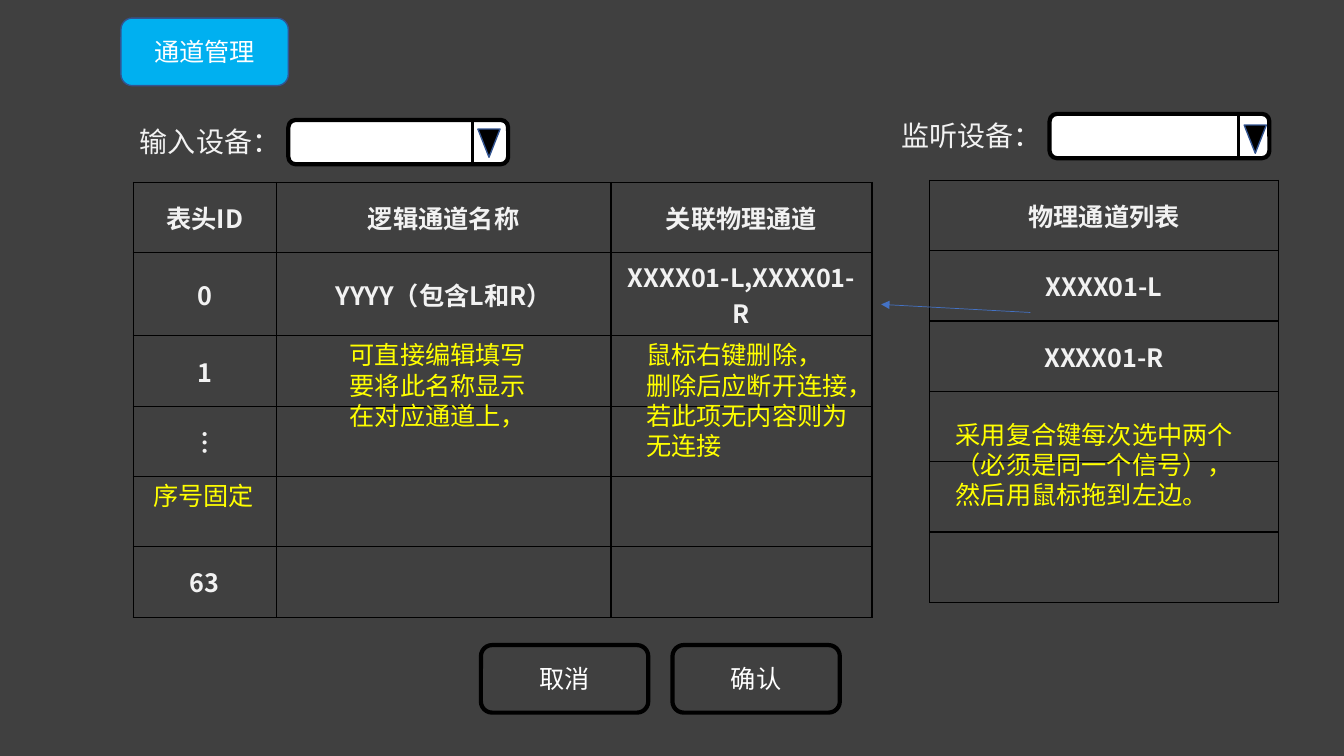
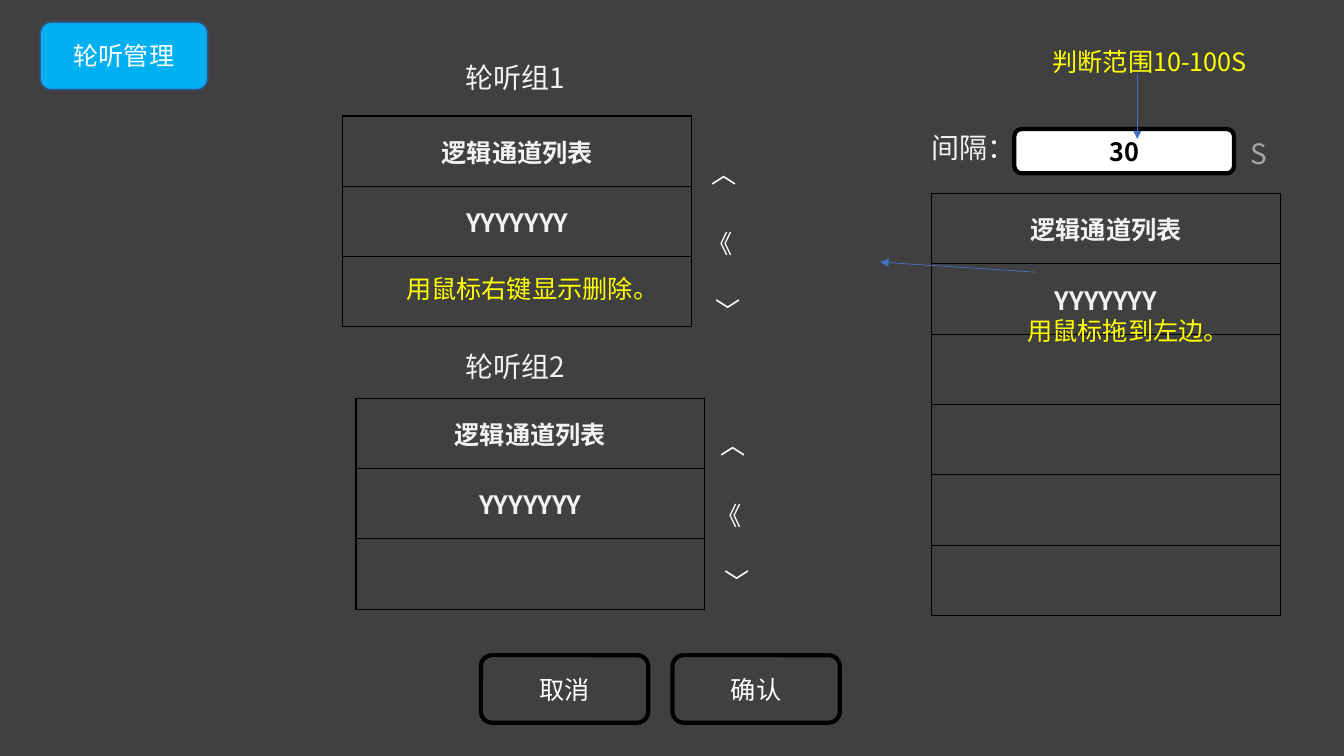
from lxml.etree import SubElement
from pptx import Presentation
from pptx.dml.color import RGBColor
from pptx.enum.shapes import MSO_CONNECTOR as Connector, MSO_SHAPE as Preset
from pptx.enum.text import MSO_ANCHOR as Anchor, MSO_AUTO_SIZE as AutoSize, PP_ALIGN as Align
from pptx.oxml.ns import qn
from pptx.util import Inches, Pt

FONT = "Noto Sans CJK SC"
BACKDROP, BLACK, WHITE = "404040", "000000", "FFFFFF"
PALE, GRAY, YELLOW = "F2F2F2", "A6A6A6", "FFFF00"
SKY, EDGE, ARROW = "00B0F0", "325491", "4472C4"
GRID = Inches(0.1)
ROW = 6.98
LIST_WIDTH = 34.6
BUTTON = (16.6, 6.7)
FIELD = (21.8, 4.4)
STEPS = (("︿", 0.4, 0), ("《", 0, 7), ("﹀", 0.8, 13.6))


def cells(*counts):
    return [round(count * GRID) for count in counts]


def paint(target, color):
    target.solid()
    target.fore_color.rgb = RGBColor.from_string(color)


def write(frame, text, color, size=18, bold=False, align=Align.LEFT):
    frame.text = text
    for paragraph in frame.paragraphs:
        paragraph.alignment = align
        for run in paragraph.runs:
            run.font.size = Pt(size)
            run.font.bold = bold
            run.font.name = FONT
            paint(run.font.fill, color)
            SubElement(run.font._element, qn("a:ea"), typeface=FONT)


def add_block(slide, preset, left, top, size, fill, edge, weight):
    block = slide.shapes.add_shape(preset, *cells(left, top, *size))
    block.shadow.inherit = False
    paint(block.fill, fill)
    paint(block.line.fill, edge)
    block.line.width = Pt(weight)
    return block


def add_rounded(slide, left, top, size, fill, edge=BLACK, weight=3,
                text="", color=WHITE, bold=False):
    block = add_block(slide, Preset.ROUNDED_RECTANGLE, left, top, size, fill, edge, weight)
    if text:
        block.text_frame.vertical_anchor = Anchor.MIDDLE
        write(block.text_frame, text, color, bold=bold, align=Align.CENTER)


def add_title(slide, left, top, text):
    add_rounded(slide, left, top, BUTTON, SKY, EDGE, 1, text)


def add_buttons(slide, top):
    for index, text in enumerate(("取消", "确认")):
        add_rounded(slide, 47.7 + 19 * index, top, BUTTON, BACKDROP, text=text)


def add_text(slide, left, top, width, height, text, color, size=18, wrap=True):
    box = slide.shapes.add_textbox(*cells(left, top, width, height))
    box.text_frame.word_wrap = wrap
    box.text_frame.auto_size = AutoSize.SHAPE_TO_FIT_TEXT
    write(box.text_frame, text, color, size)


def add_note(slide, left, top, text, width=29.9, height=4, wrap=True):
    add_text(slide, left, top, width, height, text, YELLOW, wrap=wrap)


def add_label(slide, left, top, text, width=18.4, color=PALE):
    add_text(slide, left, top, width, 4.4, text, color, 20)


def add_line(slide, start, end, color, weight, arrow=False):
    line = slide.shapes.add_connector(Connector.STRAIGHT, *cells(*start, *end))
    paint(line.line.fill, color)
    line.line.width = Pt(weight)
    properties = line._element.spPr
    if arrow:
        SubElement(properties.find(qn("a:ln")), qn("a:tailEnd"), type="triangle")
    SubElement(properties, qn("a:effectLst"))


def add_pointer(slide, start, end):
    add_line(slide, start, end, ARROW, 0.5, True)


def add_dropdown(slide, left, top, arrow_left, arrow_drop):
    add_rounded(slide, left, top, FIELD, WHITE)
    arrow = add_block(slide, Preset.ISOSCELES_TRIANGLE, arrow_left, top + arrow_drop,
                      (2.2, 2.8), BLACK, EDGE, 1)
    arrow.rotation = 180
    divider, divider_top = arrow_left - 0.55, top + arrow_drop - 0.9
    add_line(slide, (divider, divider_top), (divider, divider_top + 4.4), BLACK, 2)


def add_borders(cell):
    properties = cell._tc.get_or_add_tcPr()
    for index, side in enumerate(("a:lnL", "a:lnR", "a:lnT", "a:lnB")):
        border = SubElement(properties, qn(side), w=str(Pt(1)))
        fill = SubElement(border, qn("a:solidFill"))
        SubElement(fill, qn("a:srgbClr"), val=BLACK)
        properties.insert(index, border)


def add_grid(slide, left, top, widths, row_count, contents):
    frame = slide.shapes.add_table(row_count, len(widths),
                                   *cells(left, top, sum(widths), ROW * row_count))
    table = frame.table
    table.first_row = table.horz_banding = False
    for column, width in zip(table.columns, cells(*widths)):
        column.width = width
    for row in table.rows:
        row.height = cells(ROW)[0]
    for cell in table.iter_cells():
        cell.vertical_anchor = Anchor.MIDDLE
        paint(cell.fill, BACKDROP)
        add_borders(cell)
    for row, texts in enumerate(contents):
        for column, text in enumerate(texts):
            if text:
                write(table.cell(row, column).text_frame, text, PALE,
                      bold=True, align=Align.CENTER)


def add_list(slide, left, top, row_count, *texts):
    add_grid(slide, left, top, [LIST_WIDTH], row_count, [[text] for text in texts])


def add_group(slide, name, name_top, list_left, list_top, steps_left, steps_top):
    add_list(slide, list_left, list_top, 3, "逻辑通道列表", "YYYYYYY")
    add_label(slide, 45.2, name_top, name)
    for sign, shift, drop in STEPS:
        add_text(slide, steps_left + shift, steps_top + drop, 4.5, 4, sign, WHITE, wrap=False)


def build_channels(slide):
    add_title(slide, 12, 1.8, "通道管理")
    add_grid(slide, 13.2, 18.1, [14.2, 33.2, 25.9], 6, [
        ["表头ID", "逻辑通道名称", "关联物理通道"],
        ["0", "YYYY（包含L和R）", "XXXX01-L,XXXX01-R"],
        ["1"], ["︙"], [], ["63"]])
    add_note(slide, 33.7, 33.2, "可直接编辑填写\n要将此名称显示\n在对应通道上，", 19.7, 10.1, False)
    add_list(slide, 92.2, 17.9, 6, "物理通道列表", "XXXX01-L", "XXXX01-R")
    add_note(slide, 93.8, 41.1,
             "采用复合键每次选中两个（必须是同一个信号），然后用鼠标拖到左边。", height=10.1)
    add_pointer(slide, (102.2, 31), (87.4, 30.2))
    add_note(slide, 14.2, 47.2, "序号固定", 12.1, wrap=False)
    add_note(slide, 63.1, 33.2,
             "鼠标右键删除，\n删除后应断开连接，\n若此项无内容则为\n无连接", 24.7, 13.1, False)
    add_buttons(slide, 64)
    add_label(slide, 12.9, 11.9, "输入设备：")
    add_dropdown(slide, 28.6, 11.9, 47.4, 0.9)
    add_label(slide, 88.4, 11.3, "监听设备：")
    add_dropdown(slide, 104.1, 11.3, 123.4, 1.1)


def build_rotation(slide):
    add_title(slide, 4, 2.2, "轮听管理")
    add_list(slide, 92.4, 19.2, 6, "逻辑通道列表", "YYYYYYY")
    add_note(slide, 100.9, 30.8, "用鼠标拖到左边。")
    add_pointer(slide, (102.7, 27), (87.3, 26))
    add_buttons(slide, 65)
    add_label(slide, 91.4, 12.5, "间隔：")
    add_rounded(slide, 100.6, 12.8, FIELD, WHITE, text="30", color=BLACK, bold=True)
    add_label(slide, 123, 13.1, "S", 3.4, GRAY)
    add_note(slide, 103.4, 4.1, "判断范围10-100S")
    add_pointer(slide, (112.8, 7.3), (112.8, 13.8))
    add_group(slide, "轮听组1", 5.5, 34, 11.5, 69.2, 15.2)
    add_group(slide, "轮听组2", 34.2, 35.3, 39.5, 70.1, 42.1)
    add_note(slide, 39.3, 26.6, "用鼠标右键显示删除。")


def main():
    deck = Presentation()
    deck.slide_width, deck.slide_height = Inches(13.33), Inches(7.5)
    paint(deck.slide_master.background.fill, BACKDROP)
    for build in (build_channels, build_rotation):
        build(deck.slides.add_slide(deck.slide_layouts[6]))
    deck.save("out.pptx")


main()
